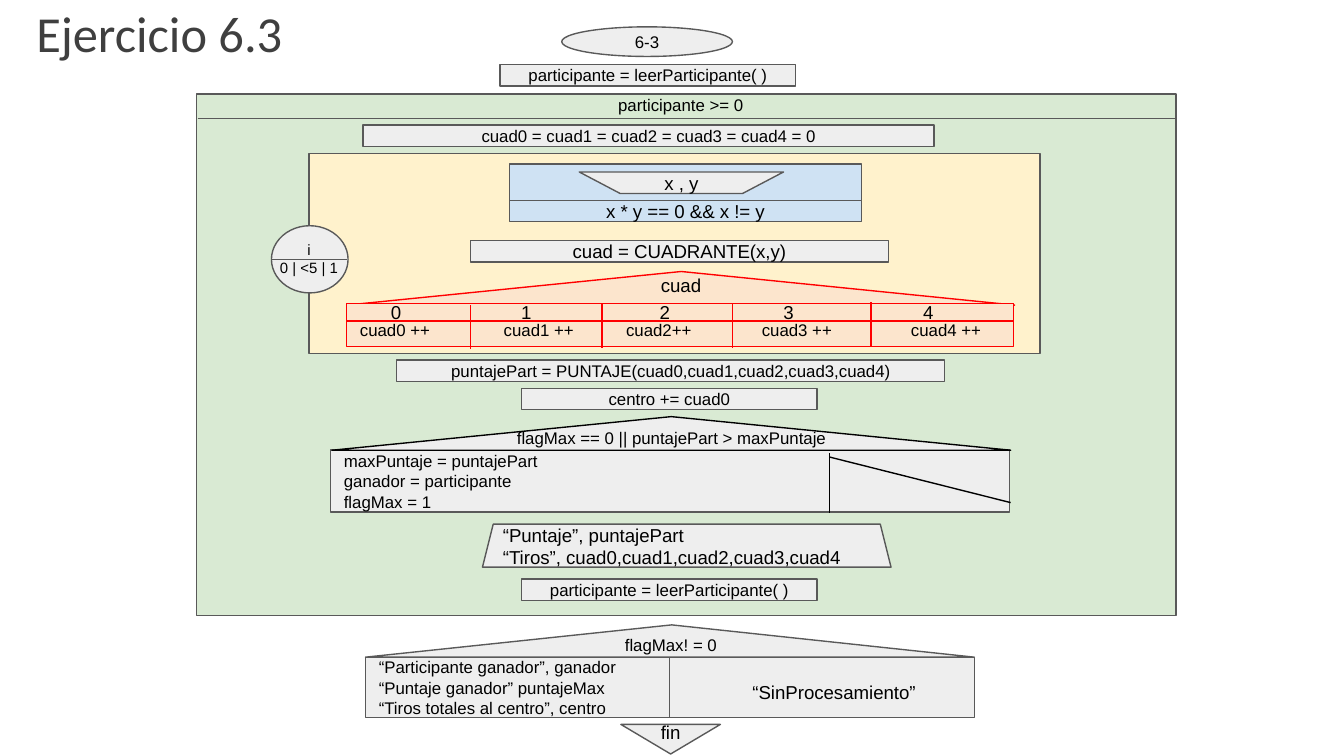
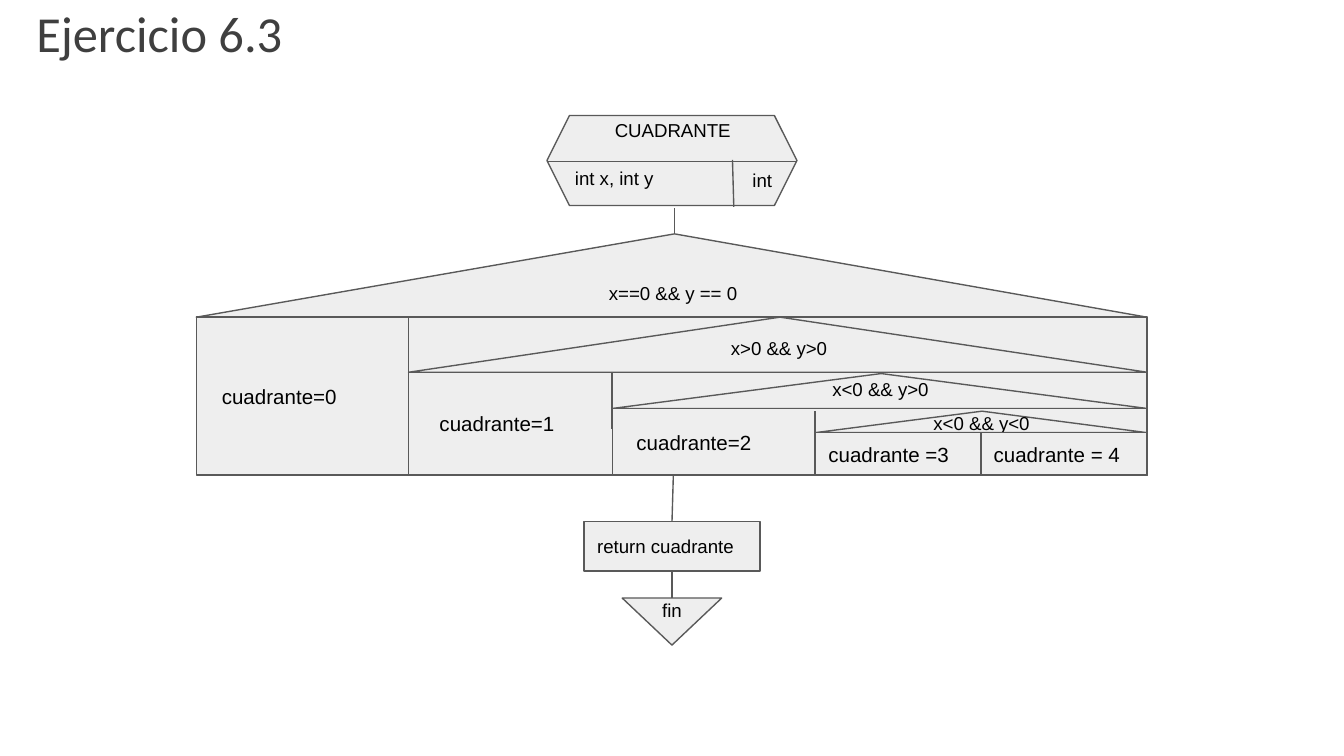
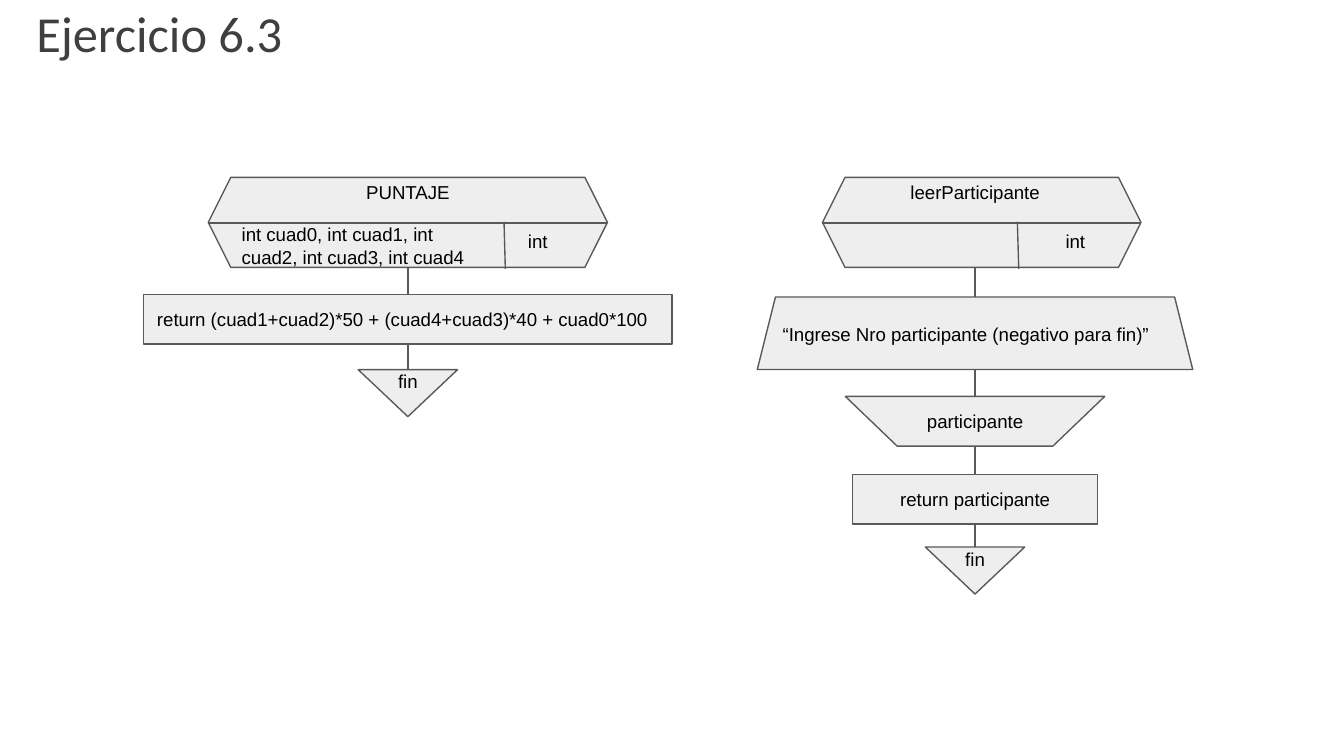
from lxml import etree
from pptx import Presentation
from pptx import util as u
from pptx.dml.color import RGBColor
from pptx.enum import shapes, text
from pptx.oxml.ns import qn

GRAY, EDGE = RGBColor(0xEE, 0xEE, 0xEE), RGBColor(0x59, 0x59, 0x59)
GREEN, YELLOW = RGBColor(0xD9, 0xEA, 0xD3), RGBColor(0xFF, 0xF2, 0xCC)
BLUE, PEACH = RGBColor(0xCF, 0xE2, 0xF3), RGBColor(0xFC, 0xE5, 0xCD)
RED, BLACK = RGBColor(0xFF, 0, 0), RGBColor(0, 0, 0)
TITLE = RGBColor(0x3F, 0x3F, 0x3F)
RECT, OVAL = shapes.MSO_SHAPE.RECTANGLE, shapes.MSO_SHAPE.OVAL
ROOF, HEX = shapes.MSO_SHAPE.ISOSCELES_TRIANGLE, shapes.MSO_SHAPE.HEXAGON
OUTPUT, INPUT = shapes.MSO_SHAPE.TRAPEZOID, shapes.MSO_SHAPE.FLOWCHART_MANUAL_OPERATION
MERGE = shapes.MSO_SHAPE.FLOWCHART_MERGE
LEFT, CENTER = text.PP_ALIGN.LEFT, text.PP_ALIGN.CENTER
TOP, MIDDLE, BOTTOM = (text.MSO_ANCHOR.TOP, text.MSO_ANCHOR.MIDDLE,
                       text.MSO_ANCHOR.BOTTOM)

prs = Presentation()
prs.slide_width = u.Inches(10)
prs.slide_height = prs.slide_width * 9 // 16
GRID = prs.slide_width // 100  # square grid, 100 columns wide


def box(s, kind, at, txt="", fill=GRAY, edge=EDGE, size=10, align=CENTER,
        anchor=MIDDLE, inset=(1, 1, 1, 1), peak=None, tabs=(), spacing=None, before=None):
    """Add a preset shape, or a text box when kind is None; at is in grid squares."""
    x, y, w, h = (round(v * GRID) for v in at)
    if kind is None:
        sp = s.shapes.add_textbox(x, y, w, h)
        anchor = TOP
    else:
        sp = s.shapes.add_shape(kind, x, y, w, h)
        sp.shadow.inherit = False
        sp.fill.solid()
        sp.fill.fore_color.rgb = fill
        sp.line.color.rgb = edge
        sp.line.width = u.Pt(0.75)
        if peak:
            sp.adjustments[0] = peak
    if not txt:
        return sp
    tf = sp.text_frame
    tf.word_wrap = True
    tf.vertical_anchor = anchor
    tf.margin_left, tf.margin_top, tf.margin_right, tf.margin_bottom = (
        round(v * GRID) for v in inset)
    for i, part in enumerate(txt.split("\n")):
        p = tf.paragraphs[0] if i == 0 else tf.add_paragraph()
        p.alignment, p.line_spacing, p.space_before = align, spacing, before
        r = p.add_run()
        r.text = part
        r.font.name, r.font.size, r.font.color.rgb = "Arial", u.Pt(size), BLACK
        if tabs:
            stops = etree.SubElement(p._p.get_or_add_pPr(), qn("a:tabLst"))
            for stop in tabs:
                etree.SubElement(stops, qn("a:tab"), pos=str(round(stop * GRID)), algn="l")
    return sp


def line(s, x1, y1, x2, y2, color=EDGE, start=None, end=None):
    """Add a straight line, joined to the bottom of start and the top of end."""
    c = s.shapes.add_connector(shapes.MSO_CONNECTOR.STRAIGHT,
                               *(round(v * GRID) for v in (x1, y1, x2, y2)))
    c.line.color.rgb = color
    c.line.width = u.Pt(0.75)
    etree.SubElement(c._element.spPr, qn("a:effectLst"))
    if start is not None:
        c.begin_connect(start, 2)
    if end is not None:
        c.end_connect(end, 0)


# Slides with their shared title
for _ in range(3):
    s = prs.slides.add_slide(prs.slide_layouts[5])
    sp = s.shapes.title
    sp.left, sp.top, sp.width, sp.height = 0, 0, round(32.8 * GRID), round(5.7 * GRID)
    tf = sp.text_frame
    tf.auto_size = text.MSO_AUTO_SIZE.NONE
    tf.vertical_anchor = TOP
    tf.margin_left, tf.margin_top = round(2.7 * GRID), GRID
    p = tf.paragraphs[0]
    p.alignment, p.line_spacing = LEFT, 0.8
    r = p.add_run()
    r.text = "Ejercicio 6.3"
    r.font.name, r.font.size, r.font.color.rgb = "Calibri", u.Pt(27), TITLE
main, quadrant, functions = prs.slides

# Slide 1: main loop and its heading
s = main
box(s, RECT, (14.6, 7, 72.9, 38.8), fill=GREEN)
box(s, RECT, (23, 11.4, 54.4, 14.9), fill=YELLOW)
line(s, 14.7, 8.8, 87.5, 8.8)
box(s, None, (35.1, 6.3, 31.1, 3.5), "participante >= 0", size=9)

# Reading of x and y until valid
box(s, RECT, (37.9, 12.2, 26.2, 4), fill=BLUE)
box(s, RECT, (37.9, 14.9, 26.2, 1.6), "x * y == 0 && x != y", fill=BLUE)
box(s, INPUT, (43.1, 12.8, 15.2, 1.6), "x , y")

# Loop counter
box(s, OVAL, (20.2, 16.8, 5.7, 5))
line(s, 20.2, 19.3, 25.8, 19.3)
box(s, None, (18.8, 16.9, 8.4, 4.7), "i\n0 | <5 | 1", size=8)

# Switch on the quadrant
box(s, RECT, (35, 17.9, 31.1, 1.6), "cuad = CUADRANTE(x,y)")
box(s, ROOF, (25.8, 20.2, 49.7, 2.5), "cuad", fill=PEACH, edge=RED, anchor=BOTTOM, peak=0.501)
box(s, RECT, (25.8, 22.6, 49.6, 3.2), "cuad0 ++\tcuad1 ++\tcuad2++\tcuad3 ++\tcuad4 ++",
    fill=PEACH, edge=RED, size=9, align=LEFT, anchor=TOP,
    tabs=(10.7, 19.8, 29.9, 41), spacing=1.15, before=u.Pt(5))
box(s, RECT, (25.8, 22.6, 49.6, 1.3), "\t0\t1\t2\t3\t4", fill=PEACH, edge=RED,
    align=LEFT, tabs=(2.3, 12, 22.3, 31.5, 41.9))
for x, y in ((54.5, 22.6), (44.8, 22.6), (35, 22.7), (64.8, 22.5)):
    line(s, x, y, x, y + 3.3, RED)

# Assignments
for x, y, w, txt in (
        (29.5, 26.8, 40.8, "puntajePart = PUNTAJE(cuad0,cuad1,cuad2,cuad3,cuad4)"),
        (38.8, 28.9, 22, "centro += cuad0"),
        (38.8, 43.1, 22, "participante = leerParticipante( )"),
        (37.2, 4.8, 22, "participante = leerParticipante( )"),
        (27, 9.3, 42.5, "cuad0 = cuad1 = cuad2 = cuad3 = cuad4 = 0")):
    box(s, RECT, (x, y, w, 1.6), txt, size=9)

# New maximum
box(s, RECT, (24.6, 33.5, 50.5, 4.6),
    "maxPuntaje = puntajePart\nganador = participante\nflagMax = 1", size=9, align=LEFT)
box(s, ROOF, (24.7, 31, 50.5, 2.5), "flagMax == 0 || puntajePart > maxPuntaje",
    edge=BLACK, size=9, inset=(1, 0.4, 1, 1))
line(s, 61.7, 33.7, 61.7, 38.2, BLACK)
line(s, 61.7, 34, 75.2, 37.4, BLACK)

# Output, start and final result
box(s, OUTPUT, (35.9, 39, 30.4, 3.2),
    "“Puntaje”, puntajePart\n“Tiros”, cuad0,cuad1,cuad2,cuad3,cuad4", align=LEFT)
box(s, OVAL, (41.8, 2, 12.7, 2.2), "6-3", size=9)
box(s, ROOF, (27.2, 46.5, 45.3, 2.4), "flagMax! = 0", size=9, anchor=BOTTOM,
    inset=(1, 0, 1, 0.2), peak=0.503)
box(s, RECT, (27.2, 48.9, 45.3, 4.5),
    "“Participante ganador”, ganador\n“Puntaje ganador” puntajeMax\n"
    "“Tiros totales al centro”, centro", size=9, align=LEFT)
box(s, None, (52.1, 49.8, 19.9, 3.7), "“SinProcesamiento”")
line(s, 49.8, 48.9, 49.8, 53.4)
box(s, MERGE, (46.2, 53.9, 7.4, 2.2), "fin")

# Slide 2: nested decisions, all ending at the same right and bottom edges
s = quadrant
RIGHT, BASE = 85.35, 35.35
for x, y, roof, test, result, indent in (
        (14.6, 17.4, 6.2, "x==0 && y == 0", "cuadrante=0", 1.9),
        (30.4, 23.6, 4.1, "x>0 && y>0", "cuadrante=1", 2.3),
        (45.55, 27.8, 2.6, "x<0 && y>0", "cuadrante=2", 1.8),
        (60.65, 30.6, 1.6, "x<0 && y<0", "cuadrante =3\tcuadrante = 4", 1)):
    w, floor = RIGHT - x, y + roof
    box(s, ROOF, (x, y, w, roof), test, anchor=BOTTOM, peak=0.503,
        inset=(1, 1, 1, 0 if roof < 2 else 1))
    box(s, RECT, (x, floor, w, BASE - floor), result, size=11, align=LEFT,
        inset=(indent, 1, 1, 1), tabs=(12.3,) if "\t" in result else ())
for x, y1, y2 in ((73, 32.2, 35.4), (30.4, 27.7, 23.6),
                  (45.55, 31.9, 27.7), (60.65, 34.8, 30.6)):
    line(s, x, y1, x, y2)

# Return and end
back = box(s, RECT, (43.45, 38.8, 13.1, 3.7), "return cuadrante", align=LEFT)
fin = box(s, MERGE, (46.3, 44.5, 7.4, 3.5), "fin")
line(s, 50.1, 35.4, 50, 38.8, end=back)
line(s, 50, 42.5, 50, 44.5, start=back, end=fin)
line(s, 50.2, 15.5, 50.2, 17.4)

# Function headers: hexagon, divider, name, parameters and return type
for s, x, y, w, split, name, name_at, params, params_at, type_at in (
        (quadrant, 40.7, 8.6, 18.6, 54.5, "CUADRANTE", (44.5, 11.1),
         "int x, int y", (41.8, 11.6, 12.3, 3.7), (55, 11.7, 3.6, 3.7)),
        (functions, 15.5, 13.2, 29.7, 37.5, "PUNTAJE", (21.5, 17.7),
         "int cuad0, int cuad1, int cuad2, int cuad3, int cuad4",
         (17, 15.6, 19.6, 5.4), (38.3, 16.3, 5.7, 3.7)),
        (functions, 61.2, 13.2, 23.7, 75.7, "leerParticipante", (63.7, 17.7),
         "", None, (78.3, 16.3, 5.7, 3.7))):
    box(s, HEX, (x, y, w, 6.7))
    line(s, x, y + 3.4, x + w, y + 3.4)
    line(s, split, y + 3.3, split + 0.1, y + 6.8)
    box(s, None, (name_at[0], y - 0.6, name_at[1], 3.7), name)
    if params:
        box(s, None, params_at, params, align=LEFT)
    box(s, None, type_at, "int", align=LEFT)

# Slide 3: steps centred on the axis of each function, joined from top to bottom
s = functions
PUNTAJE_AXIS, READ_AXIS = 30.35, 72.55
for axis, steps in (
        (PUNTAJE_AXIS, (
            (RECT, 21.9, 39.3, 3.7,
             "return (cuad1+cuad2)*50 + (cuad4+cuad3)*40 + cuad0*100", LEFT),
            (MERGE, 27.5, 7.4, 3.5, "fin", CENTER))),
        (READ_AXIS, (
            (OUTPUT, 22.1, 32.4, 5.4, "“Ingrese Nro participante (negativo para fin)”", LEFT),
            (INPUT, 29.5, 19.3, 3.7, "participante", CENTER),
            (RECT, 35.3, 18.2, 3.7, "return participante", CENTER),
            (MERGE, 40.7, 7.4, 3.5, "fin", CENTER)))):
    above, bottom = None, 19.9
    for kind, y, w, h, txt, align in steps:
        step = box(s, kind, (axis - w / 2, y, w, h), txt, align=align)
        line(s, axis, bottom, axis, y, start=above, end=step)
        above, bottom = step, y + h

prs.save("out.pptx")
